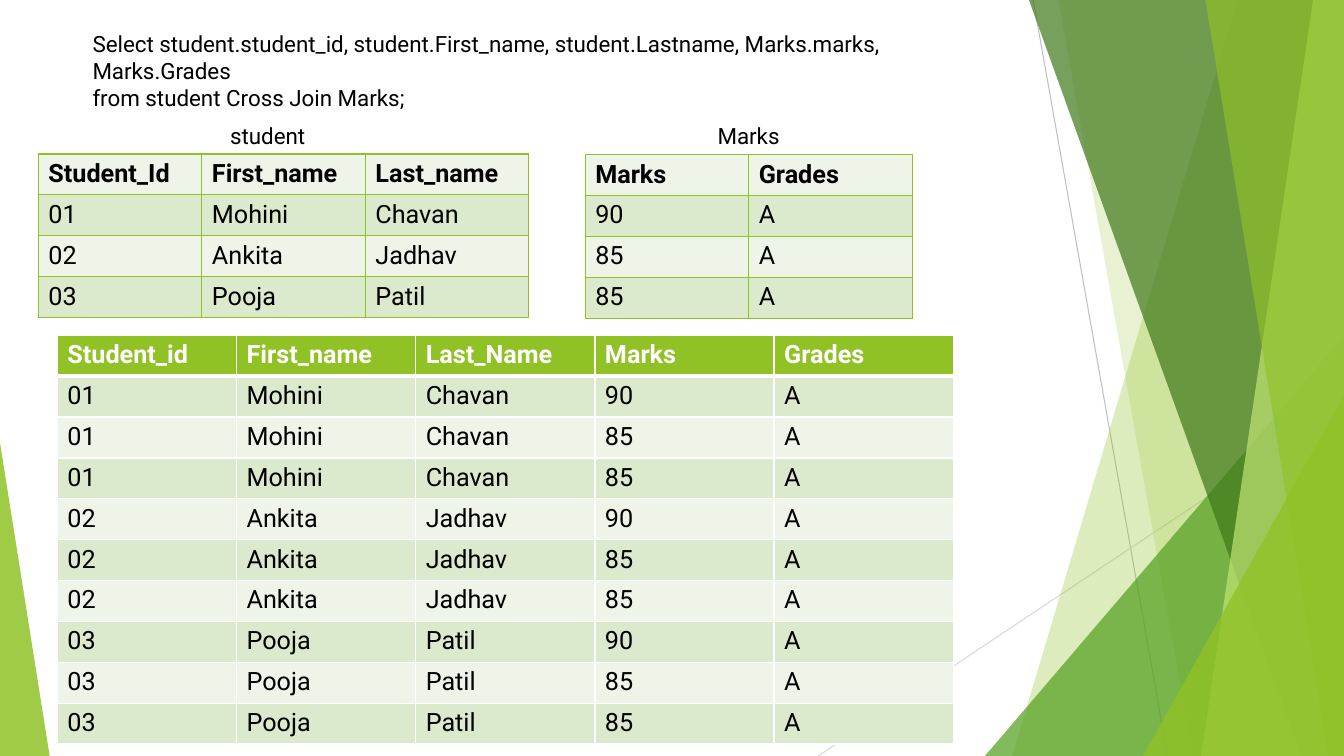
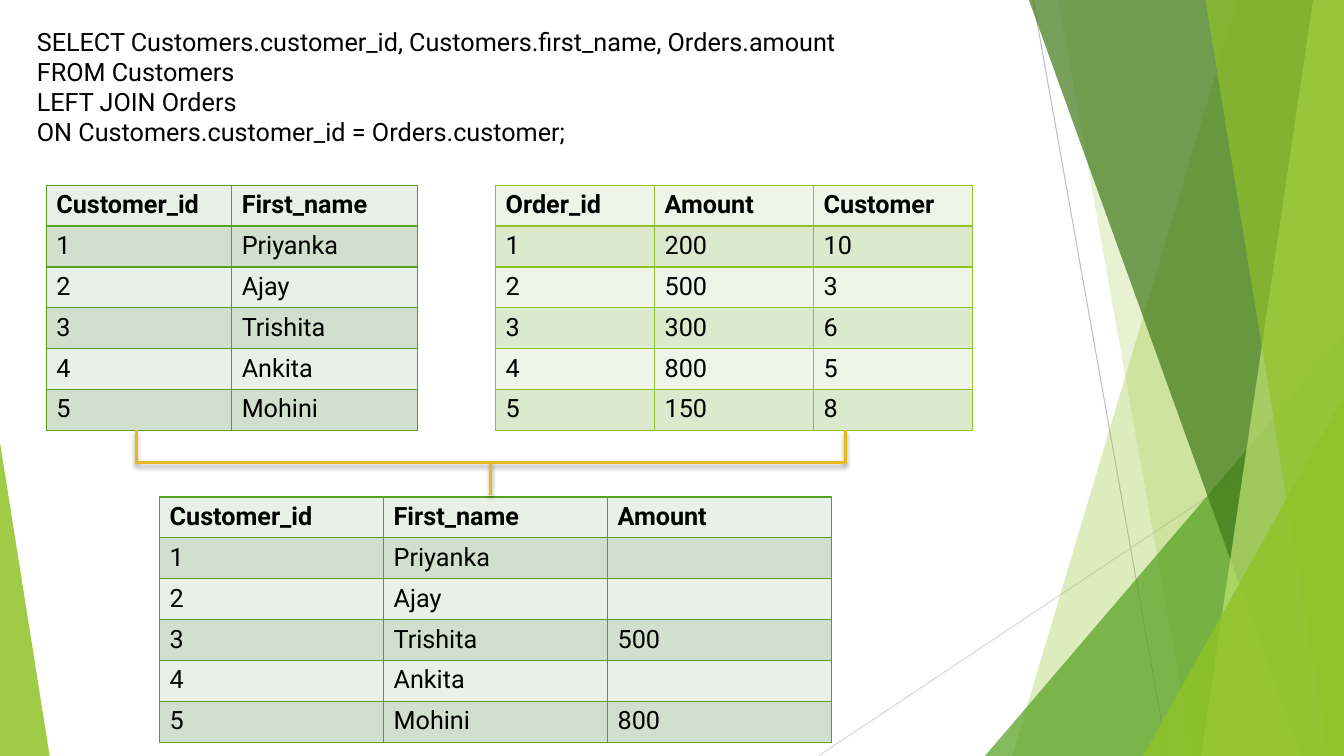
import itertools

import lxml.etree
import pptx
import pptx.dml.color
import pptx.enum.shapes
import pptx.enum.text
import pptx.oxml.ns
import pptx.util

Pt = pptx.util.Pt
qn = pptx.oxml.ns.qn

# Content: cross join
CROSS_QUERY = [
    "Select student.student_id, student.First_name, student.Lastname, Marks.marks, Marks.Grades",
    "from student Cross Join Marks;",
]
STUDENT_HEAD = ("Student_Id", "First_name", "Last_name")
STUDENTS = [("01", "Mohini", "Chavan"), ("02", "Ankita", "Jadhav"), ("03", "Pooja", "Patil")]
MARKS_HEAD = ("Marks", "Grades")
MARKS = [("90", "A"), ("85", "A"), ("85", "A")]
CROSS_HEAD = ("Student_id", "First_name", "Last_Name", "Marks", "Grades")

# Content: left join
LEFT_QUERY = [
    "SELECT Customers.customer_id, Customers.first_name, Orders.amount",
    "FROM Customers",
    "LEFT JOIN Orders",
    "ON Customers.customer_id = Orders.customer;",
]
CUSTOMER_HEAD = ("Customer_id", "First_name")
CUSTOMERS = [("1", "Priyanka"), ("2", "Ajay"), ("3", "Trishita"), ("4", "Ankita"), ("5", "Mohini")]
ORDER_HEAD = ("Order_id", "Amount", "Customer")
ORDERS = [("1", "200", "10"), ("2", "500", "3"), ("3", "300", "6"), ("4", "800", "5"), ("5", "150", "8")]
LEFT_HEAD = ("Customer_id", "First_name", "Amount")

# Joined rows
cross_rows = [student + mark for student, mark in itertools.product(STUDENTS, MARKS)]
amounts = {customer: amount for _, amount, customer in ORDERS}
left_rows = [customer + (amounts.get(customer[0], ""),) for customer in CUSTOMERS]

# Shared look
COLORS = {
    "lime": "90C226", "green": "54A021", "forest": "3F7819", "pale": "C0E474",
    "lime band": "DBE9CD", "lime light": "EEF4E8",
    "green band": "D1DFCD", "green light": "E9F0E8",
    "grey": "BFBFBF", "light grey": "D9D9D9", "gold": "E6B91E",
    "black": "000000", "white": "FFFFFF",
}
TABLE_STYLES = {
    "lime": dict(head="lime light", ink="black", light="lime light", band="lime band", border="lime", rule=1),
    "green": dict(head="green light", ink="black", light="green light", band="green band", border="green", rule=1),
    "solid": dict(head="lime", ink="white", light="lime light", band="lime band", border="white", rule=3),
}
WIDTH, HEIGHT = 960, 540
ROW_HEIGHT = 29.2

# Background: hairlines, then facets from back to front with opacity in percent
HAIRLINES = [((738, 0), (834, HEIGHT), "grey"), ((WIDTH, 290), (584.5, HEIGHT), "light grey")]
# A facet is (top left x, bottom left x); a triangle is (left, top, width, apex)
FACETS = [
    ("facet", (884, 723), "lime", 30),
    ("facet", (756, 852), "lime", 20),
    ("triangle", (703.5, 240, 256.5, 1), "green", 72),
    ("facet", (735, 929.5), "forest", 70),
    ("facet", (938, 858), "pale", 70),
    ("facet", (861, 949), "lime", 65),
    ("triangle", (816.5, 283, 143.5, 1), "lime", 80),
    ("triangle", (0, 316, 35.5, 0), "lime", 85),
]


def rgb(name):
    return pptx.dml.color.RGBColor.from_string(COLORS[name])


def points(*values):
    return [Pt(value) for value in values]


def write(paragraph, text, ink="black", **formats):
    run = paragraph.add_run()
    run.text = text
    for key, value in {"name": "Roboto", **formats}.items():
        setattr(run.font, key, value)
    run.font.color.rgb = rgb(ink)


def add_line(slide, start, end, color, width, shadow=False):
    line = slide.shapes.add_connector(
        pptx.enum.shapes.MSO_CONNECTOR.STRAIGHT, *points(*start, *end))
    line.line.color.rgb = rgb(color)
    line.line.width = Pt(width)
    effects = lxml.etree.SubElement(line.element.spPr, qn("a:effectLst"))
    if shadow:
        outer = lxml.etree.SubElement(effects, qn("a:outerShdw"), blurRad=str(Pt(3)),
                                      dist=str(Pt(2)), dir="5400000", rotWithShape="0")
        black = lxml.etree.SubElement(outer, qn("a:srgbClr"), val=COLORS["black"])
        lxml.etree.SubElement(black, qn("a:alpha"), val="35000")


def add_facet(slide, kind, geometry, color, opacity):
    if kind == "triangle":
        left, top, width, apex = geometry
        facet = slide.shapes.add_shape(
            pptx.enum.shapes.MSO_SHAPE.ISOSCELES_TRIANGLE,
            *points(left, top, width, HEIGHT - top))
        facet.adjustments[0] = apex
    else:
        top_x, bottom_x = geometry
        outline = slide.shapes.build_freeform(Pt(top_x), 0)
        outline.add_line_segments(
            [points(*corner) for corner in ((WIDTH, 0), (WIDTH, HEIGHT), (bottom_x, HEIGHT))])
        facet = outline.convert_to_shape()
    facet.shadow.inherit = False
    facet.line.fill.background()
    facet.fill.solid()
    facet.fill.fore_color.rgb = rgb(color)
    tint = facet.element.spPr.find(".//" + qn("a:srgbClr"))
    lxml.etree.SubElement(tint, qn("a:alpha"), val=str(opacity * 1000))


def add_text(slide, box, lines, size, align="LEFT"):
    frame = slide.shapes.add_textbox(*points(*box)).text_frame
    frame.word_wrap = True
    for index, text in enumerate(lines):
        paragraph = frame.add_paragraph() if index else frame.paragraphs[0]
        paragraph.alignment = getattr(pptx.enum.text.PP_ALIGN, align)
        write(paragraph, text, size=Pt(size))


def set_borders(cell, color, top, bottom):
    properties = cell._tc.get_or_add_tcPr()
    for index, (side, width) in enumerate((("L", 1), ("R", 1), ("T", top), ("B", bottom))):
        edge = lxml.etree.Element(qn("a:ln" + side), w=str(Pt(width)))
        fill = lxml.etree.SubElement(edge, qn("a:solidFill"))
        lxml.etree.SubElement(fill, qn("a:srgbClr"), val=COLORS[color])
        properties.insert(index, edge)


def add_grid(slide, left, top, column_width, head, rows, style_name):
    style = TABLE_STYLES[style_name]
    grid = slide.shapes.add_table(
        len(rows) + 1, len(head),
        *points(left, top, column_width * len(head), ROW_HEIGHT * (len(rows) + 1))).table
    grid.horz_banding = False
    for column in grid.columns:
        column.width = Pt(column_width)
    for r, values in enumerate([head, *rows]):
        grid.rows[r].height = Pt(ROW_HEIGHT)
        fill = style["head"] if r == 0 else style["band" if r % 2 else "light"]
        for c, value in enumerate(values):
            cell = grid.cell(r, c)
            cell.fill.solid()
            cell.fill.fore_color.rgb = rgb(fill)
            set_borders(cell, style["border"],
                        top=style["rule"] if r == 1 else 1,
                        bottom=style["rule"] if r == 0 else 1)
            if value:
                write(cell.text_frame.paragraphs[0], value,
                      ink="black" if r else style["ink"], size=Pt(18), bold=r == 0)


deck = pptx.Presentation()
deck.slide_width, deck.slide_height = points(WIDTH, HEIGHT)
layout = deck.slide_layouts[6]
for placeholder in list(layout.placeholders):
    layout.shapes.element.remove(placeholder.element)
cross_slide = deck.slides.add_slide(layout)
left_slide = deck.slides.add_slide(layout)

# Background, drawn once and moved to the layout
for start, end, color in HAIRLINES:
    add_line(cross_slide, start, end, color, 0.75)
for facet_values in FACETS:
    add_facet(cross_slide, *facet_values)
for part in list(cross_slide.shapes):
    layout.shapes.element.append(part.element)

# Cross join slide
add_grid(cross_slide, 27.4, 110, 116.8, STUDENT_HEAD, STUDENTS, "lime")
add_grid(cross_slide, 418, 110.5, 116.8, MARKS_HEAD, MARKS, "lime")
add_text(cross_slide, (59, 18, 649, 65.5), CROSS_QUERY, 16)
add_text(cross_slide, (111, 83.5, 160.5, 26.5), ["student"], 16, "CENTER")
add_text(cross_slide, (417.5, 83.5, 234.5, 26.5), ["Marks"], 16, "CENTER")
add_grid(cross_slide, 41, 239.5, 128, CROSS_HEAD, cross_rows, "solid")

# Left join slide
add_text(left_slide, (19.25, 15, 688, 94.5), LEFT_QUERY, 18)
add_grid(left_slide, 33, 132.3, 132.5, CUSTOMER_HEAD, CUSTOMERS, "green")
add_grid(left_slide, 354, 132.3, 113.6, ORDER_HEAD, ORDERS, "lime")
add_grid(left_slide, 114, 355, 160, LEFT_HEAD, left_rows, "green")

# Bracket from both tables down to the result
bracket_left, bracket_right = 97.25, 604
bracket_top, bracket_bar, bracket_bottom = 307.5, 330.5, 353.5
stem = (bracket_left + bracket_right) / 2
for start, end in [
    ((bracket_left, bracket_top), (bracket_left, bracket_bar)),
    ((bracket_right, bracket_top), (bracket_right, bracket_bar)),
    ((bracket_left, bracket_bar), (bracket_right, bracket_bar)),
    ((stem, bracket_bar), (stem, bracket_bottom)),
]:
    add_line(left_slide, start, end, "gold", 2, shadow=True)

deck.save("out.pptx")
